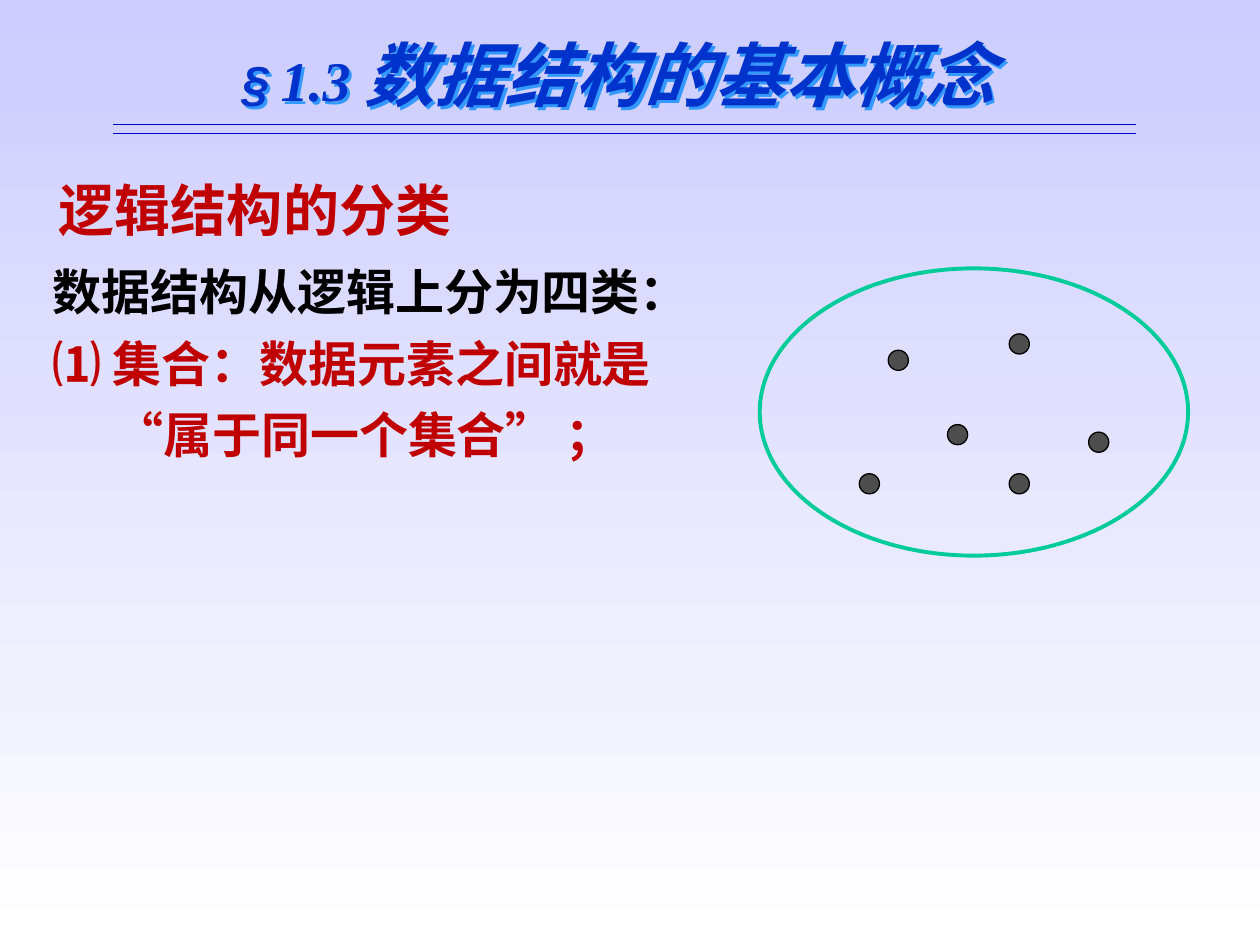
from lxml import etree
from pptx import Presentation
from pptx.dml.color import RGBColor
from pptx.enum.lang import MSO_LANGUAGE_ID
from pptx.enum.shapes import MSO_CONNECTOR, MSO_SHAPE
from pptx.enum.text import PP_ALIGN
from pptx.oxml import parse_xml
from pptx.oxml.ns import qn
from pptx.util import Inches, Pt

CHINESE = MSO_LANGUAGE_ID.SIMPLIFIED_CHINESE
OVAL = MSO_SHAPE.OVAL
STRAIGHT = MSO_CONNECTOR.STRAIGHT
LEFT, CENTER = PP_ALIGN.LEFT, PP_ALIGN.CENTER

COLORS = {
    "sky": "CCCCFF", "white": "FFFFFF", "black": "000000", "red": "C00000",
    "title": "0033CC", "shadow": "3399FF", "rule": "0000CC",
    "set": "00CC99", "element": "4D4D4D",
}
SERIF, SANS = "Times New Roman", "Arial"

TITLE = [
    ("§", 28, SANS, True),
    (" ", 24, SANS, False),
    ("1.3 ", 32, SERIF, True),
    ("数据结构的基本概念", 40, SERIF, True),
]
HEADING = "逻辑结构的分类"
BODY = [
    ("数据结构从逻辑上分为四类：", "black", 0),
    ("⑴ 集合：数据元素之间就是", "red", 0),
    ("“属于同一个集合” ；", "red", 0.49),
]
SET_BOX = (6.03, 2.13, 3.4, 2.28)
ELEMENTS = [(7.05, 2.78), (8.01, 2.65), (6.82, 3.76),
            (8.01, 3.76), (7.52, 3.37), (8.64, 3.43)]
ELEMENT_SIZE = 0.16
RULE_LEFT, RULE_RIGHT, RULE_YS = 0.9, 9.02, (0.99, 1.06)

SHADOW_XML = (
    '<a:effectLst xmlns:a="http://schemas.openxmlformats.org/drawingml/2006/main">'
    '<a:outerShdw dist="28398" dir="2700000" algn="ctr" rotWithShape="0">'
    f'<a:srgbClr val="{COLORS["shadow"]}"/></a:outerShdw></a:effectLst>'
)


def rgb(name):
    return RGBColor.from_string(COLORS[name])


def add_text_box(s, box, paragraphs, align=LEFT, space_before=0):
    sp = s.shapes.add_textbox(*map(Inches, box))
    tf = sp.text_frame
    tf.word_wrap = True
    for i, (runs, color, indent) in enumerate(paragraphs):
        p = tf.add_paragraph() if i else tf.paragraphs[0]
        p.alignment = align
        p.space_before = Pt(space_before)
        if indent:
            p._p.get_or_add_pPr().set("marL", str(Inches(indent)))
        for text, size, font, bold, italic in runs:
            r = p.add_run()
            r.text = text
            r.font.size, r.font.name = Pt(size), font
            r.font.bold, r.font.italic = bold, italic
            r.font.color.rgb = rgb(color)
            r.font.language_id = CHINESE
    return sp


def add_oval(s, box, line, width, fill=None):
    sp = s.shapes.add_shape(OVAL, *map(Inches, box))
    sp.shadow.inherit = False
    if fill:
        sp.fill.solid()
        sp.fill.fore_color.rgb = rgb(fill)
    else:
        sp.fill.background()
    sp.line.color.rgb = rgb(line)
    sp.line.width = Pt(width)


def add_rule(s, y):
    ln = s.shapes.add_connector(STRAIGHT, Inches(RULE_LEFT), Inches(y),
                                Inches(RULE_RIGHT), Inches(y))
    ln.line.color.rgb = rgb("rule")
    ln.line.width = Pt(0.75)
    etree.SubElement(ln._element.spPr, qn("a:effectLst"))


def main():
    prs = Presentation()
    prs.slide_width, prs.slide_height = Inches(10), Inches(7.5)
    s = prs.slides.add_slide(prs.slide_layouts[6])

    fill = s.background.fill
    fill.gradient()
    fill.gradient_angle = 270
    for stop, color in zip(fill.gradient_stops, ("sky", "white")):
        stop.color.rgb = rgb(color)

    body = [([(text, 28, SERIF, True, False)], color, indent)
            for text, color, indent in BODY]
    add_text_box(s, (0.32, 2.03, 5.56, 5.07), body, space_before=7)

    add_oval(s, SET_BOX, "set", 2.25)
    for x, y in ELEMENTS:
        add_oval(s, (x, y, ELEMENT_SIZE, ELEMENT_SIZE), "black", 0.75, "element")

    heading = [([(HEADING, 32, SERIF, True, False)], "red", 0)]
    add_text_box(s, (0.37, 1.34, 5.76, 0.64), heading, space_before=20)

    title_runs = [(text, size, font, bold, bold) for text, size, font, bold in TITLE]
    title = add_text_box(s, (1.52, 0.2, 6.77, 0.77), [(title_runs, "title", 0)], CENTER)
    title._element.spPr.append(parse_xml(SHADOW_XML))
    for y in RULE_YS:
        add_rule(s, y)

    prs.save("out.pptx")


if __name__ == "__main__":
    main()
